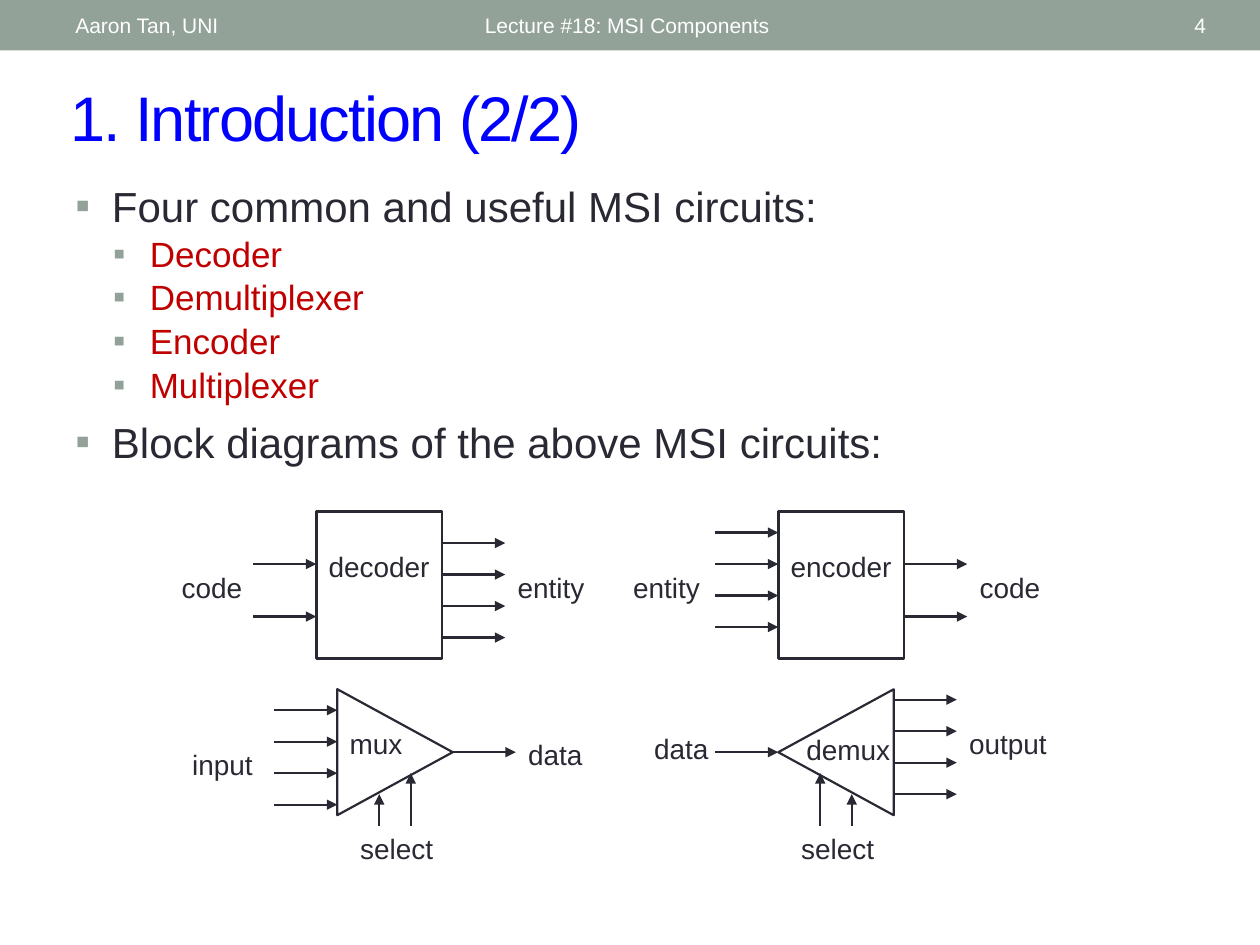
import pptx
import pptx.util
import pptx.dml.color
import pptx.enum.shapes
import pptx.enum.text
import pptx.oxml
import pptx.oxml.ns
from dataclasses import dataclass

Inches, Pt = pptx.util.Inches, pptx.util.Pt
RGB = pptx.dml.color.RGBColor.from_string
SHAPE = pptx.enum.shapes.MSO_SHAPE
ALIGN = pptx.enum.text.PP_ALIGN
ANCHOR = pptx.enum.text.MSO_ANCHOR
UNIT = 1 / 12   # diagram grid step in inches
LEAD = 6        # length of a signal arrow in grid steps


@dataclass(frozen=True)
class Theme:
    font: str = "Arial"
    band: str = "93A299"
    title: str = "0000FF"
    ink: str = "292934"
    accent: str = "C00000"
    light: str = "FFFFFF"
    title_size: int = 36
    body_size: int = 24
    sub_size: int = 20
    label_size: int = 16
    header_size: int = 12
    block_line: float = 1.5
    thin_line: float = 1.25


THEME = Theme()


def apply(obj, formats):
    for name, value in formats.items():
        setattr(obj, name, value)


def write(p, text, size, color):
    r = p.add_run()
    r.text = text
    apply(r.font, {"name": THEME.font, "size": Pt(size)})
    r.font.color.rgb = RGB(color)
    return r


def text_box(shapes, box, anchor=ANCHOR.TOP):
    sp = shapes.add_textbox(*map(Inches, box))
    apply(sp.text_frame, {"word_wrap": True, "vertical_anchor": anchor})
    return sp.text_frame


def outline(sp, width):
    sp.shadow.inherit = False
    sp.fill.background()
    sp.line.color.rgb = RGB(THEME.ink)
    sp.line.width = Pt(width)


def add_xml(parent, tag, **attrs):
    el = pptx.oxml.parse_xml(f"<a:{tag} {pptx.oxml.ns.nsdecls('a')}/>")
    for name, value in attrs.items():
        el.set(name, value)
    parent.append(el)
    return el


def bullet(p, indent, hang):
    pPr = p._p.get_or_add_pPr()
    pPr.set("marL", str(Inches(indent)))
    pPr.set("indent", str(-Inches(hang)))
    add_xml(add_xml(pPr, "buClr"), "srgbClr", val=THEME.band)
    add_xml(pPr, "buFont", typeface=THEME.font)
    add_xml(pPr, "buChar", char="▪")


def header(slide, x, y, w, h):
    sp = slide.shapes.add_shape(SHAPE.RECTANGLE, *map(Inches, (x, y, w, h)))
    sp.shadow.inherit = False
    sp.fill.solid()
    sp.fill.fore_color.rgb = RGB(THEME.band)
    sp.line.fill.background()
    # Left edge and width as shares of the band
    for text, left, width, align in (
        ("Aaron Tan, UNI", 0.05, 0.32, ALIGN.LEFT),
        ("Lecture #18: MSI Components", 0.375, 0.45, ALIGN.LEFT),
        ("4", 0.872, 0.095, ALIGN.RIGHT),
    ):
        tf = text_box(slide.shapes, (x + left * w, y + 0.05 * h, width * w, 0.9 * h), ANCHOR.MIDDLE)
        p = tf.paragraphs[0]
        p.alignment = align
        write(p, text, THEME.header_size, THEME.light)


def title(slide, *box):
    tf = text_box(slide.shapes, box, ANCHOR.MIDDLE)
    r = write(tf.paragraphs[0], "1. Introduction (2/2)", THEME.title_size, THEME.title)
    r.font._element.set("spc", "-100")


def body(slide, *box):
    top = (0.29, 6, THEME.body_size, THEME.ink)
    sub = (0.59, 1, THEME.sub_size, THEME.accent)
    lines = [("Four common and useful MSI circuits:", top)]
    lines += [(name, sub) for name in ("Decoder", "Demultiplexer", "Encoder", "Multiplexer")]
    lines += [("Block diagrams of the above MSI circuits:", top)]
    tf = text_box(slide.shapes, box)
    for i, (text, (indent, before, size, color)) in enumerate(lines):
        p = tf.add_paragraph() if i else tf.paragraphs[0]
        apply(p, {"space_before": Pt(before), "level": int(size == THEME.sub_size)})
        bullet(p, indent, 0.29)
        write(p, text, size, color)


def circuit(slide, x, y, cols, rows, turn=None, inputs=(), outputs=(), selects=(), labels=()):
    """Block of cols by rows grid steps at (x, y); a turn makes it a triangle."""
    shapes = slide.shapes.add_group_shape().shapes

    def at(col, row):
        return Inches(x + col * UNIT), Inches(y + row * UNIT)

    # Labels: text, column, row, width in columns
    for text, col, row, width in labels:
        tf = text_box(shapes, (x + col * UNIT, y + row * UNIT, width * UNIT, 0.37))
        write(tf.paragraphs[0], text, THEME.label_size, THEME.ink)

    # Block outline
    if turn is None:
        sp = shapes.add_shape(SHAPE.RECTANGLE, *at(0, 0), Inches(cols * UNIT), Inches(rows * UNIT))
        outline(sp, THEME.block_line)
    else:
        shift = (cols - rows) / 2
        sp = shapes.add_shape(SHAPE.ISOSCELES_TRIANGLE, *at(shift, -shift),
                              Inches(rows * UNIT), Inches(cols * UNIT))
        sp.rotation = turn
        outline(sp, THEME.thin_line)

    # Signal arrows
    arrows = [((-LEAD, row), (0, row)) for row in inputs]
    arrows += [((cols, row), (cols + LEAD, row)) for row in outputs]
    arrows += [((col, rows + 1), (col, row)) for col, row in selects]
    for start, end in arrows:
        line = shapes.add_connector(pptx.enum.shapes.MSO_CONNECTOR.STRAIGHT, *at(*start), *at(*end))
        line.line.color.rgb = RGB(THEME.ink)
        line.line.width = Pt(THEME.thin_line)
        add_xml(line.line._get_or_add_ln(), "tailEnd", type="triangle")
        add_xml(line._element.spPr, "effectLst")


def diagrams(slide, x, y):
    right, lower = x + 44 * UNIT, y + 1.41
    circuit(slide, x, y, 12, 14, inputs=(5, 10), outputs=range(3, 13, 3),
            labels=[("decoder", 0, 3, 13), ("code", -14, 5, 9), ("entity", 18, 5, 9)])
    circuit(slide, right, y, 12, 14, inputs=range(2, 12, 3), outputs=(5, 10),
            labels=[("encoder", 0, 3, 13), ("code", 18, 5, 9), ("entity", -15, 5, 9)])
    circuit(slide, x + 2 * UNIT, lower, 11, 12, turn=90,
            inputs=range(2, 12, 3), outputs=(6,), selects=((4, 10), (7, 8)),
            labels=[("mux", 0, 3, 9), ("data", 17, 4, 9), ("input", -15, 5, 9), ("select", 1, 13, 10)])
    circuit(slide, right, lower, 11, 12, turn=270,
            inputs=(6,), outputs=range(1, 11, 3), selects=((4, 8), (7, 10)),
            labels=[("demux", 1.5, 3.5, 11), ("data", -13, 3.4, 9), ("output", 17, 3, 10),
                    ("select", 1, 13, 10)])


def main():
    prs = pptx.Presentation()
    apply(prs, {"slide_width": Inches(10), "slide_height": Inches(7.5)})
    slide = prs.slides.add_slide(prs.slide_layouts[6])
    header(slide, 0, 0, 10, 0.4)
    title(slide, 0.46, 0.57, 9.07, 0.7)
    body(slide, 0.5, 1.38, 9.38, 5.78)
    diagrams(slide, 2.51, 4.06)
    prs.save("out.pptx")


if __name__ == "__main__":
    main()
